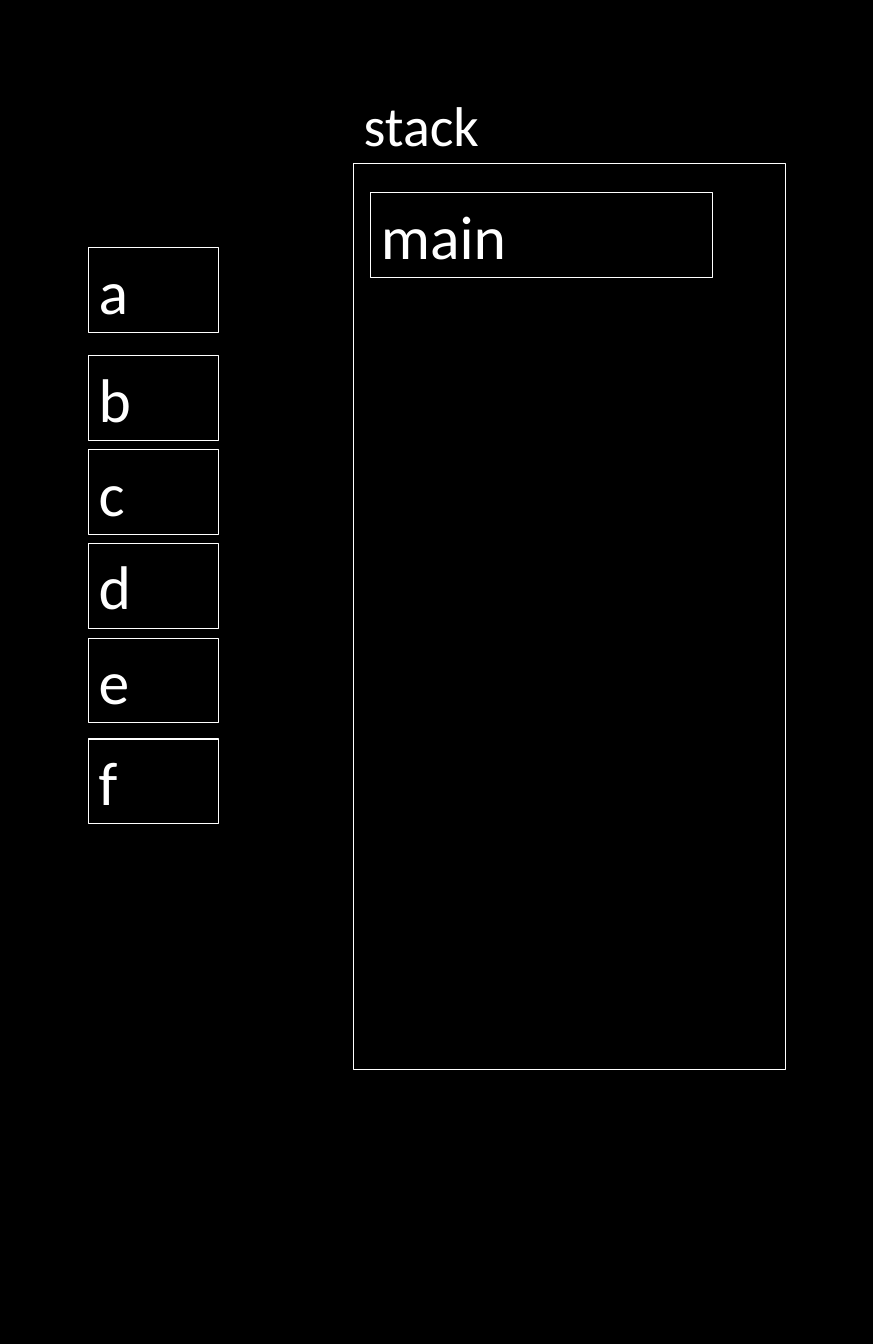
import pptx
import pptx.dml.color
import pptx.enum.shapes
import pptx.enum.text
import pptx.util

Inches = pptx.util.Inches
WHITE = "FFFFFF"
BLACK = "000000"
CELL = 0.84  # height of a labelled box


def color(code):
    return pptx.dml.color.RGBColor.from_string(code)


def write(shape, text, size, wrap=True):
    """Put one left-aligned white run in a shape that grows with its text."""
    frame = shape.text_frame
    frame.word_wrap = wrap
    frame.auto_size = pptx.enum.text.MSO_AUTO_SIZE.SHAPE_TO_FIT_TEXT
    frame.vertical_anchor = pptx.enum.text.MSO_ANCHOR.TOP
    line = frame.paragraphs[0]
    line.alignment = pptx.enum.text.PP_ALIGN.LEFT
    run = line.add_run()
    run.text = text
    run.font.size = pptx.util.Pt(size)
    run.font.name = "Calibri"
    run.font.color.rgb = color(WHITE)


def frame_box(slide, left, top, width, height):
    """Draw an unfilled box with a thin white outline."""
    box = slide.shapes.add_shape(
        pptx.enum.shapes.MSO_SHAPE.RECTANGLE,
        Inches(left), Inches(top), Inches(width), Inches(height))
    box.shadow.inherit = False
    box.fill.background()
    box.line.color.rgb = color(WHITE)
    box.line.width = pptx.util.Pt(0.75)
    return box


def add_names(slide, left, top, width):
    """List the variables; b to e are evenly spaced, a and f stand apart."""
    drops = {"a": 0, "b": 1.07, "c": 2, "d": 2.93, "e": 3.87, "f": 4.87}
    for name, drop in drops.items():
        write(frame_box(slide, left, top + drop, width, CELL), name, 44)


def add_stack(slide, left, top, width, height):
    """Draw the call stack, its title above it and its first frame inside."""
    frame_box(slide, left, top, width, height)
    title = slide.shapes.add_textbox(
        Inches(left), Inches(top - 0.77), Inches(1.35), Inches(0.77))
    write(title, "stack", 40, wrap=False)
    write(frame_box(slide, left + 0.17, top + 0.29, 3.39, CELL), "main", 44)


def main():
    deck = pptx.Presentation()
    deck.slide_width = Inches(8.66)
    deck.slide_height = Inches(13.33)
    slide = deck.slides.add_slide(deck.slide_layouts[6])
    fill = slide.background.fill
    fill.solid()
    fill.fore_color.rgb = color(BLACK)
    add_names(slide, 0.88, 2.46, 1.29)
    add_stack(slide, 3.51, 1.62, 4.28, 8.99)
    deck.save("out.pptx")


if __name__ == "__main__":
    main()
